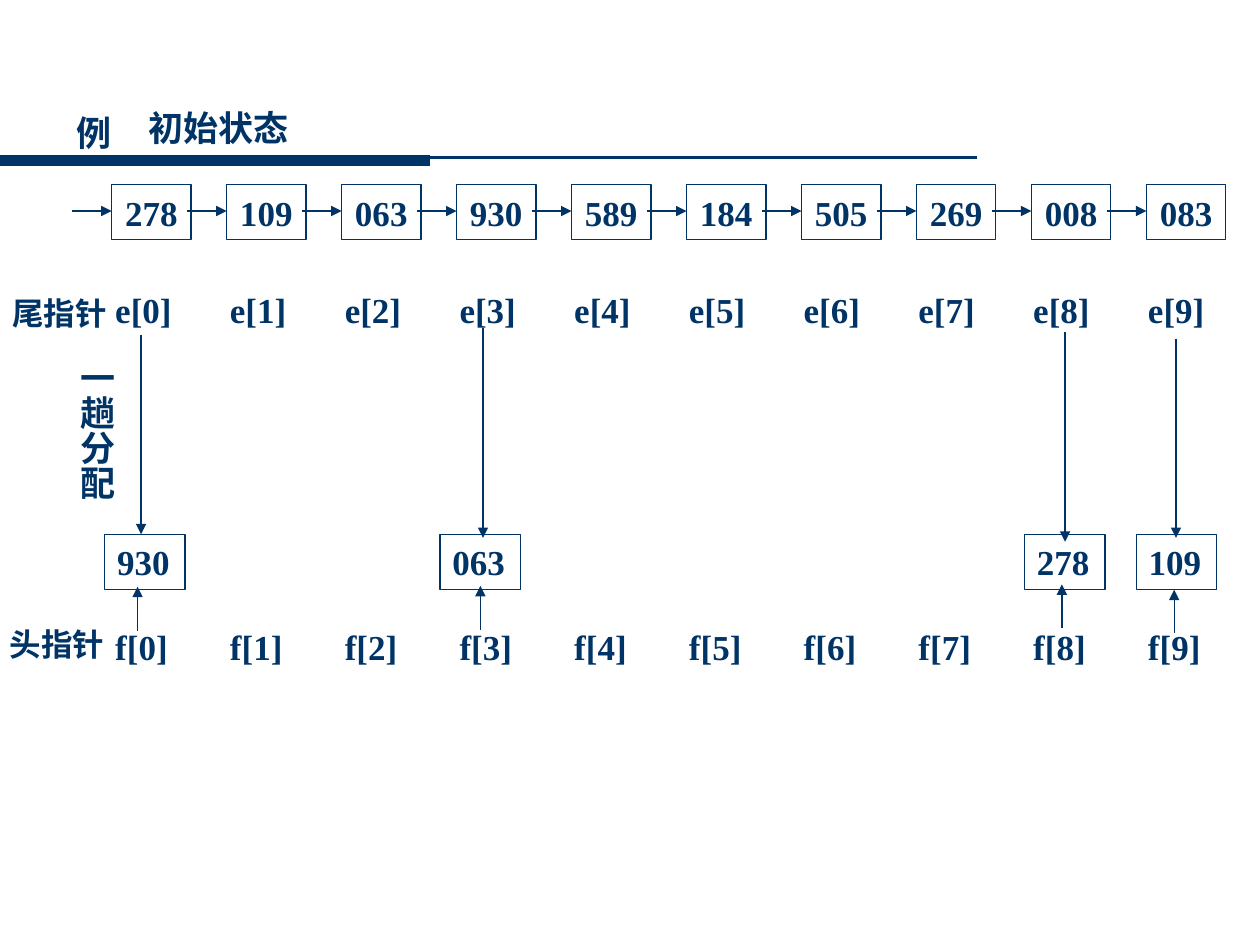
from pptx import Presentation
from pptx.dml.color import RGBColor
from pptx.enum.shapes import MSO_CONNECTOR as CONNECTOR, MSO_SHAPE as SHAPE
from pptx.enum.text import MSO_ANCHOR as ANCHOR, MSO_AUTO_SIZE as AUTO_SIZE, PP_ALIGN as ALIGN
from pptx.oxml.ns import qn
from pptx.util import Pt
from lxml.etree import SubElement

NAVY = RGBColor(0x00, 0x33, 0x66)
FONT = "Times New Roman"
BOX_HEIGHT = 31.7
COLUMN_PITCH = 65.57
QUEUE = ["278", "109", "063", "930", "589", "184", "505", "269", "008", "083"]

# key, box left, (tail arrow x, top, bottom), (head arrow x, bottom, top)
BUCKETS = [
    ("109", 649.3, (672, 193.7, 307.4), (671, 362, 337)),
    ("278", 585.4, (608.6, 190, 309.6), (606.8, 358.6, 334)),
    ("063", 251.4, (276, 187.2, 307.4), (274.5, 360, 334.8)),
    ("930", 59.8, (80.6, 191.5, 305.3), (78.6, 360.4, 335.3)),
]


def write(frame, text, size=20, align=ALIGN.LEFT, anchor=ANCHOR.TOP, wrap=False, side=7.2):
    frame.word_wrap = wrap
    frame.vertical_anchor = anchor
    frame.margin_left = frame.margin_right = Pt(side)
    frame.margin_top = frame.margin_bottom = Pt(3.6)
    frame.text = text
    paragraph = frame.paragraphs[0]
    paragraph.alignment = align
    font = paragraph.runs[0].font
    font.name, font.size, font.bold = FONT, Pt(size), True
    font.color.rgb = NAVY


def add_label(slide, text, left, top, width, height=BOX_HEIGHT, **style):
    label = slide.shapes.add_textbox(Pt(left), Pt(top), Pt(width), Pt(height))
    write(label.text_frame, text, **style)
    label.text_frame.auto_size = AUTO_SIZE.SHAPE_TO_FIT_TEXT
    return label


def add_key_box(slide, key, left, top, width, **style):
    box = slide.shapes.add_shape(SHAPE.RECTANGLE, Pt(left), Pt(top), Pt(width), Pt(BOX_HEIGHT))
    box.shadow.inherit = False
    box.fill.background()
    box.line.color.rgb = NAVY
    box.line.width = Pt(0.75)
    write(box.text_frame, key, **style)


def add_line(slide, x1, y1, x2, y2, width=0.75, arrow=True):
    line = slide.shapes.add_connector(CONNECTOR.STRAIGHT, Pt(x1), Pt(y1), Pt(x2), Pt(y2))
    line.line.color.rgb = NAVY
    line.line.width = Pt(width)
    properties = line._element.spPr
    if arrow:
        SubElement(properties.find(qn("a:ln")), qn("a:tailEnd"), type="triangle")
    SubElement(properties, qn("a:effectLst"))


def add_heading(slide, left, top):
    add_line(slide, 558, 90, 0, 90, width=1.5, arrow=False)
    add_line(slide, 0, 91.7, 246, 91.7, width=6, arrow=False)
    add_label(slide, "例", left, top + 2.6, 35)
    title = slide.shapes.title
    title.left, title.top = Pt(left + 41), Pt(top)
    title.width, title.height = Pt(96), Pt(BOX_HEIGHT)
    write(title.text_frame, "初始状态")
    title.text_frame.auto_size = AUTO_SIZE.NONE


def add_queue(slide, left, top):
    for index, key in enumerate(QUEUE):
        x = left + index * 65.7
        add_key_box(slide, key, x, top, 45.4, align=ALIGN.CENTER, anchor=ANCHOR.MIDDLE)
        add_line(slide, x - 22.5, top + 15.2, x, top + 15.2)


def add_pointer_row(slide, name, letter, left, top, name_left, name_top):
    for index in range(len(QUEUE)):
        add_label(slide, f"{letter}[{index}]", left + index * COLUMN_PITCH, top, 47)
    add_label(slide, name, name_left, name_top, 60, 28.8, size=18, wrap=True, side=0)


def add_buckets(slide, top):
    for key, left, (tail_x, tail_y, tail_end), (head_x, head_y, head_end) in BUCKETS:
        add_key_box(slide, key, left, top, 46, wrap=True)
        add_line(slide, tail_x, tail_y, tail_x, tail_end)
        add_line(slide, head_x, head_y, head_x, head_end)


def add_pass_label(slide, left, top):
    label = add_label(slide, "一趟分配", left, top, 38, 95)
    frame = label.text_frame
    frame.margin_left = frame.margin_right = Pt(3.6)
    frame.margin_top = frame.margin_bottom = Pt(7.2)
    frame._txBody.bodyPr.set("vert", "eaVert")


def main():
    deck = Presentation()
    deck.slide_width, deck.slide_height = Pt(720), Pt(540)
    slide = deck.slides.add_slide(deck.slide_layouts[5])
    add_heading(slide, 36.8, 57.5)
    add_queue(slide, 63.8, 105.4)
    add_buckets(slide, 305.4)
    add_pointer_row(slide, "尾指针", "e", 58.8, 161.5, 7, 164.6)
    add_pointer_row(slide, "头指针", "f", 58.8, 353.8, 5.6, 353.8)
    add_pass_label(slide, 33, 199)
    deck.save("out.pptx")


if __name__ == "__main__":
    main()
